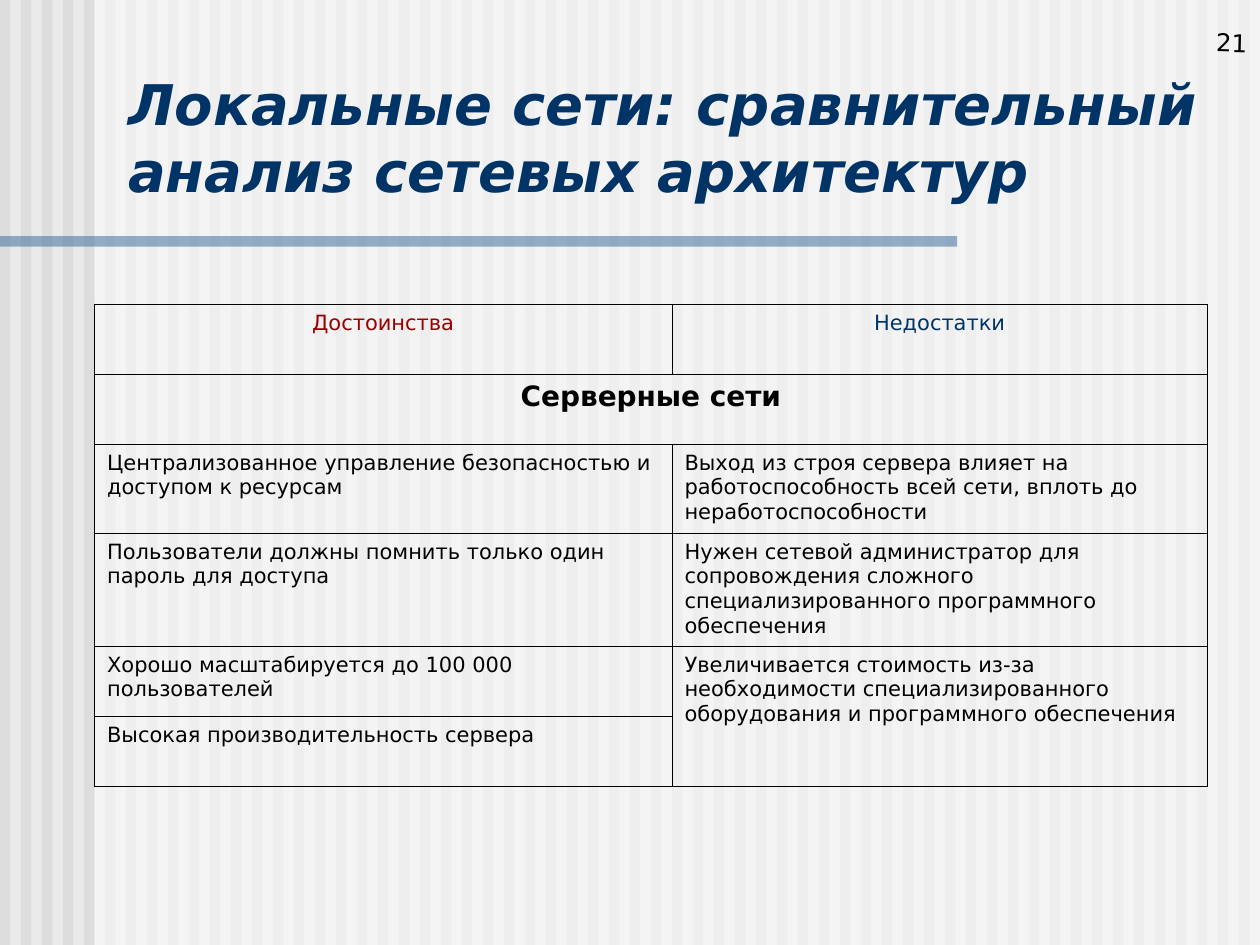
from lxml import etree
from pptx import Presentation
from pptx.dml.color import RGBColor
from pptx.enum.shapes import MSO_SHAPE
from pptx.enum.text import MSO_ANCHOR, MSO_AUTO_SIZE, PP_ALIGN
from pptx.oxml.ns import qn
from pptx.util import Pt

RECT = MSO_SHAPE.RECTANGLE
BOTTOM = MSO_ANCHOR.BOTTOM
NO_FIT = MSO_AUTO_SIZE.NONE
LEFT, MID, RIGHT = PP_ALIGN.LEFT, PP_ALIGN.CENTER, PP_ALIGN.RIGHT

COLORS = {
    "back": "EAEAEA", "stripe": "DDDDDD", "veil": "FFFFFF", "bar": "336699",
    "navy": "003366", "red": "9A0000", "ink": "000000",
}
WIDE, HIGH = 720, 540
COLS = [330, 306]
ROWS = [40, 40, 50.8, 64.6, 40, 40]
HEAD = [("Достоинства", "red"), ("Недостатки", "navy")]
GROUP = "Серверные сети"
PROS = [
    "Централизованное управление безопасностью и доступом к ресурсам",
    "Пользователи должны помнить только один пароль для доступа",
    "Хорошо масштабируется до 100 000 пользователей",
    "Высокая производительность сервера",
]
CONS = [
    "Выход из строя сервера влияет на работоспособность всей сети, вплоть до неработоспособности",
    "Нужен сетевой администратор для сопровождения сложного специализированного программного обеспечения",
    "Увеличивается стоимость из-за необходимости специализированного оборудования и программного обеспечения",
]


def rgb(name):
    return RGBColor.from_string(COLORS[name])


class Deck:
    """Holds the text style and the current slide."""

    font = "DejaVu Sans"
    thin, thick = 0.45, 1.08

    def __init__(self, slide):
        self.slide = slide
        fill = slide.background.fill
        fill.solid()
        fill.fore_color.rgb = rgb("back")

    def label(self, frame, text, size, color="ink", align=LEFT, bold=False, italic=False):
        para = frame.paragraphs[0]
        para.alignment = align
        run = para.add_run()
        run.text = text
        font = run.font
        font.name, font.size = self.font, Pt(size)
        font.bold, font.italic = bold, italic
        font.color.rgb = rgb(color)

    def rect(self, x, y, w, h, color, alpha=None):
        """Add a plain block; alpha is its opacity in percent."""
        shape = self.slide.shapes.add_shape(RECT, Pt(x), Pt(y), Pt(w), Pt(h))
        shape.shadow.inherit = False
        shape.line.fill.background()
        shape.fill.solid()
        shape.fill.fore_color.rgb = rgb(color)
        if alpha is not None:
            tint = shape._element.spPr.find(".//" + qn("a:srgbClr"))
            etree.SubElement(tint, qn("a:alpha"), val=str(alpha * 1000))

    def number(self, text, x, y, w, h):
        box = self.slide.shapes.add_textbox(Pt(x), Pt(y), Pt(w), Pt(h))
        box.rotation = 1.5
        frame = box.text_frame
        frame.word_wrap = True
        frame.vertical_anchor = BOTTOM
        self.label(frame, text, 14, align=RIGHT)

    def title(self, text, x, y, w, h):
        shape = self.slide.shapes.title
        self.slide.shapes._spTree.append(shape._element)  # bring to front
        shape.left, shape.top, shape.width, shape.height = Pt(x), Pt(y), Pt(w), Pt(h)
        frame = shape.text_frame
        frame.word_wrap = True
        frame.auto_size = NO_FIT
        frame.vertical_anchor = BOTTOM
        self.label(frame, text, 32, "navy", bold=True, italic=True)

    def table(self, x, y, cols, rows):
        frame = self.slide.shapes.add_table(
            len(rows), len(cols), Pt(x), Pt(y), Pt(sum(cols)), Pt(sum(rows)))
        table = frame.table
        table.first_row = table.horz_banding = False
        for col, width in zip(table.columns, cols):
            col.width = Pt(width)
        for row, height in zip(table.rows, rows):
            row.height = Pt(height)
        return table

    def edges(self, table):
        """Clear each cell and rule it: thick outside, thin inside."""
        last_row, last_col = len(table.rows), len(table.columns)
        for r in range(last_row):
            for c in range(last_col):
                cell = table.cell(r, c)
                cell.fill.background()
                outer = {
                    "L": c == 0,
                    "R": c + cell.span_width == last_col,
                    "T": r == 0,
                    "B": r + cell.span_height == last_row,
                }
                props = cell._tc.get_or_add_tcPr()
                for spot, (side, out) in enumerate(outer.items()):
                    width = Pt(self.thick if out else self.thin)
                    line = etree.Element(qn("a:ln" + side), w=str(width))
                    fill = etree.SubElement(line, qn("a:solidFill"))
                    etree.SubElement(fill, qn("a:srgbClr"), val=COLORS["ink"])
                    props.insert(spot, line)


def main():
    prs = Presentation()
    prs.slide_width, prs.slide_height = Pt(WIDE), Pt(HIGH)
    deck = Deck(prs.slides.add_slide(prs.slide_layouts[5]))

    for x in range(0, WIDE, 12):
        deck.rect(x, 0, 6, HIGH, "stripe")
    deck.rect(54, 0, WIDE - 54, HIGH, "veil", 50)
    deck.rect(0, 135, 547, 6, "bar", 50)
    deck.number("21", 666, 0, 54, 36)
    deck.title("Локальные сети: сравнительный анализ сетевых архитектур", 66, 36, 636, 84)

    table = deck.table(54, 174, COLS, ROWS)
    table.cell(1, 0).merge(table.cell(1, 1))
    table.cell(4, 1).merge(table.cell(5, 1))
    deck.edges(table)
    for c, (text, color) in enumerate(HEAD):
        deck.label(table.cell(0, c).text_frame, text, 12, color, MID)
    deck.label(table.cell(1, 0).text_frame, GROUP, 16, align=MID, bold=True)
    for c, texts in enumerate((PROS, CONS)):
        for r, text in enumerate(texts, 2):
            deck.label(table.cell(r, c).text_frame, text, 12)

    prs.save("out.pptx")


if __name__ == "__main__":
    main()
